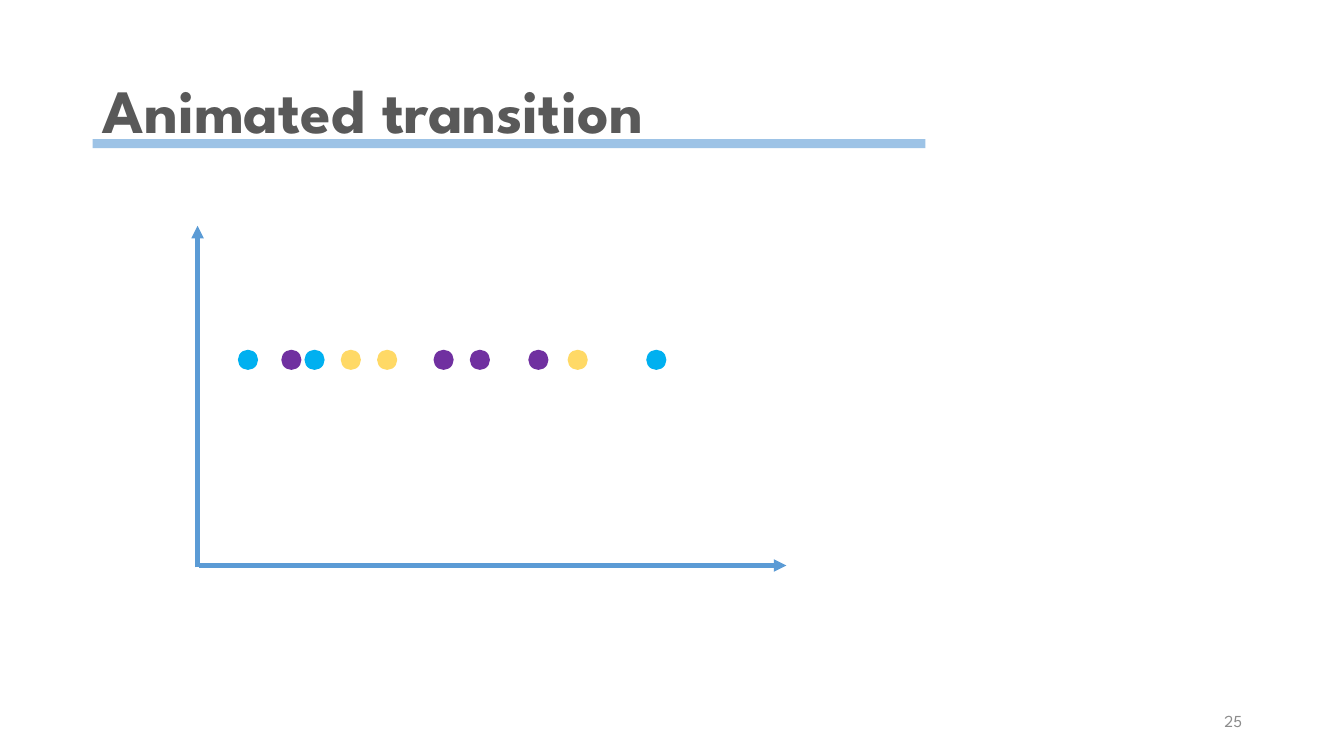
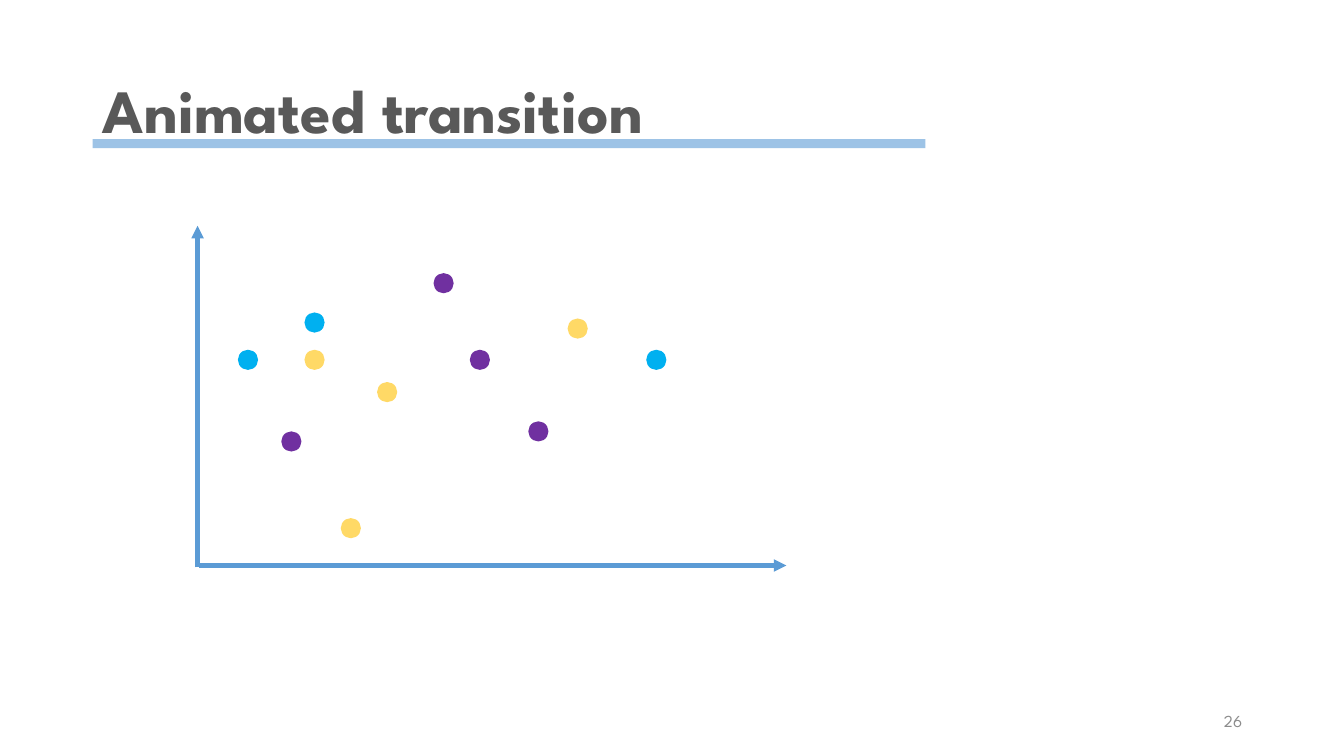
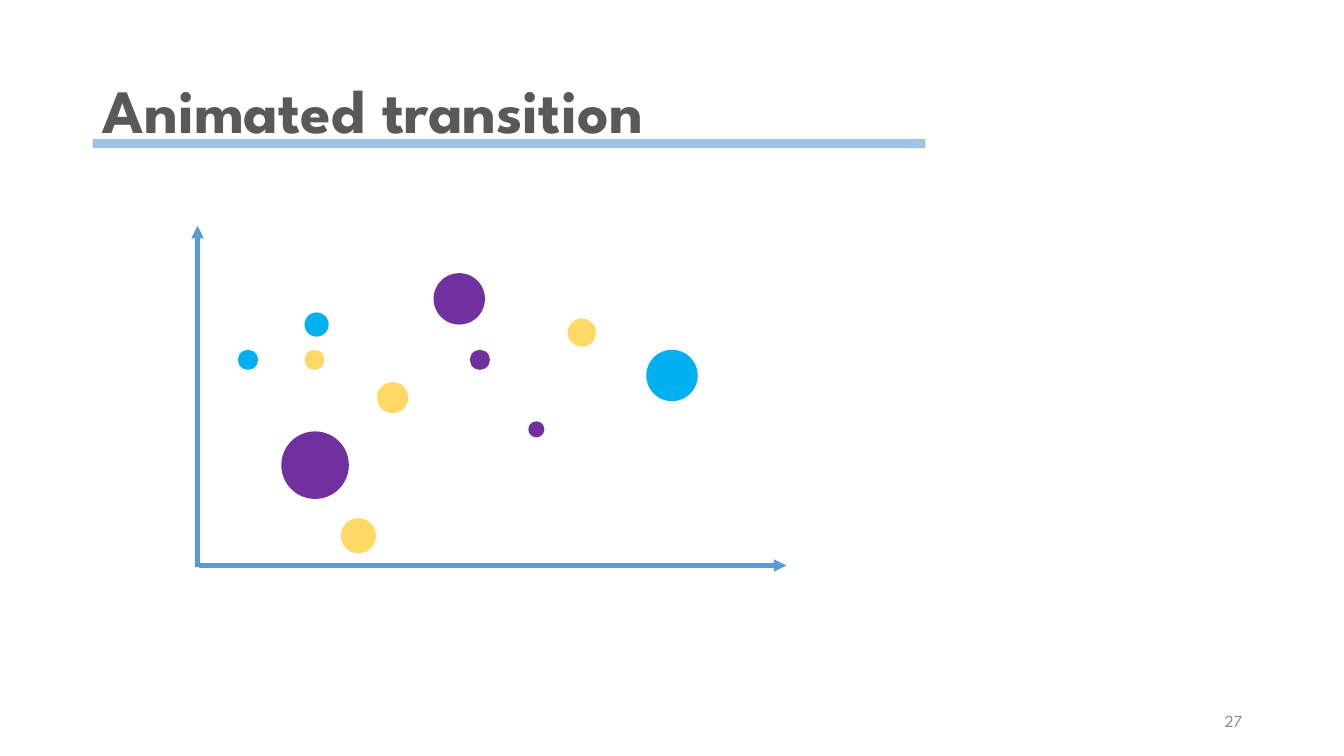
"""Build three slides that move from a dot row to a scatter plot to a bubble plot."""
import pptx
import pptx.util
import pptx.dml.color
import pptx.enum.shapes
import pptx.enum.text
import pptx.oxml.ns
from lxml import etree

Inches = pptx.util.Inches
Pt = pptx.util.Pt
Align = pptx.enum.text.PP_ALIGN
Shape = pptx.enum.shapes.MSO_SHAPE

COLORS = {
    "title": "595959",
    "number": "8C8C8C",
    "band": "9DC3E6",
    "axis": "5B9BD5",
    "yellow": "FFD966",
    "blue": "00B0F0",
    "purple": "7030A0",
}
FONT = "League Spartan"
ROW = 3.47
DOT = 0.2
FIRST = 25

POINTS = [
    (3.02, 3.47, 0.2, "yellow"),
    (3.38, 5.14, 0.35, "yellow"),
    (3.74, 3.79, 0.31, "yellow"),
    (3.02, 3.1, 0.24, "blue"),
    (2.36, 3.47, 0.2, "blue"),
    (6.41, 3.47, 0.51, "blue"),
    (2.79, 4.28, 0.67, "purple"),
    (4.3, 2.71, 0.51, "purple"),
    (4.66, 3.47, 0.2, "purple"),
    (5.24, 4.18, 0.16, "purple"),
    (5.63, 3.16, 0.28, "yellow"),
]


class Deck:
    """Holds the style and the current slide."""

    def __init__(self):
        self.prs = pptx.Presentation()
        self.prs.slide_width = Inches(13.33)
        self.prs.slide_height = Inches(7.5)
        self.slide = None

    def color(self, name):
        return pptx.dml.color.RGBColor.from_string(COLORS[name])

    def label(self, frame, text, size, color, align, bold=False):
        frame.text = text
        frame.word_wrap = True
        frame.auto_size = pptx.enum.text.MSO_AUTO_SIZE.NONE
        frame.vertical_anchor = pptx.enum.text.MSO_ANCHOR.MIDDLE
        line = frame.paragraphs[0]
        line.alignment = align
        font = line.runs[0].font
        font.name = FONT
        font.size = Pt(size)
        font.bold = bold
        font.color.rgb = self.color(color)

    def start(self, title, number):
        self.slide = self.prs.slides.add_slide(self.prs.slide_layouts[5])
        head = self.slide.shapes.title
        head.left, head.top = Inches(0.92), Inches(0.4)
        head.width, head.height = Inches(11.5), Inches(1.45)
        self.label(head.text_frame, title, 44, "title", Align.LEFT, True)
        head.text_frame.paragraphs[0].line_spacing = 0.9
        box = self.slide.shapes.add_textbox(
            Inches(9.42), Inches(6.95), Inches(3), Inches(0.4))
        self.label(box.text_frame, str(number), 12, "number", Align.RIGHT)
        self.shape(Shape.RECTANGLE, 0.92, 1.38, 8.26, 0.09, "band")

    def shape(self, kind, left, top, width, height, color):
        item = self.slide.shapes.add_shape(
            kind, Inches(left), Inches(top), Inches(width), Inches(height))
        item.shadow.inherit = False
        item.fill.solid()
        item.fill.fore_color.rgb = self.color(color)
        item.line.fill.background()

    def dot(self, left, top, size, color):
        self.shape(Shape.OVAL, left, top, size, size, color)

    def arrow(self, x1, y1, x2, y2):
        item = self.slide.shapes.add_connector(
            pptx.enum.shapes.MSO_CONNECTOR.STRAIGHT,
            Inches(x1), Inches(y1), Inches(x2), Inches(y2))
        item.line.color.rgb = self.color("axis")
        item.line.width = Pt(3)
        qn = pptx.oxml.ns.qn
        props = item.element.find(qn("p:spPr"))
        etree.SubElement(props.find(qn("a:ln")), qn("a:tailEnd"), type="triangle")
        etree.SubElement(props, qn("a:effectLst"))

    def plot(self, points):
        self.arrow(1.96, 5.63, 1.96, 2.24)
        self.arrow(1.97, 5.61, 7.8, 5.61)
        for point in points:
            self.dot(*point)


def main():
    deck = Deck()
    row = [(x, ROW, DOT, color) for x, y, size, color in POINTS[1:]]
    scatter = [(x, y, DOT, color) for x, y, size, color in POINTS]
    for number, points in enumerate((row, scatter, POINTS), FIRST):
        deck.start("Animated transition", number)
        deck.plot(points)
    deck.prs.save("out.pptx")


if __name__ == "__main__":
    main()
